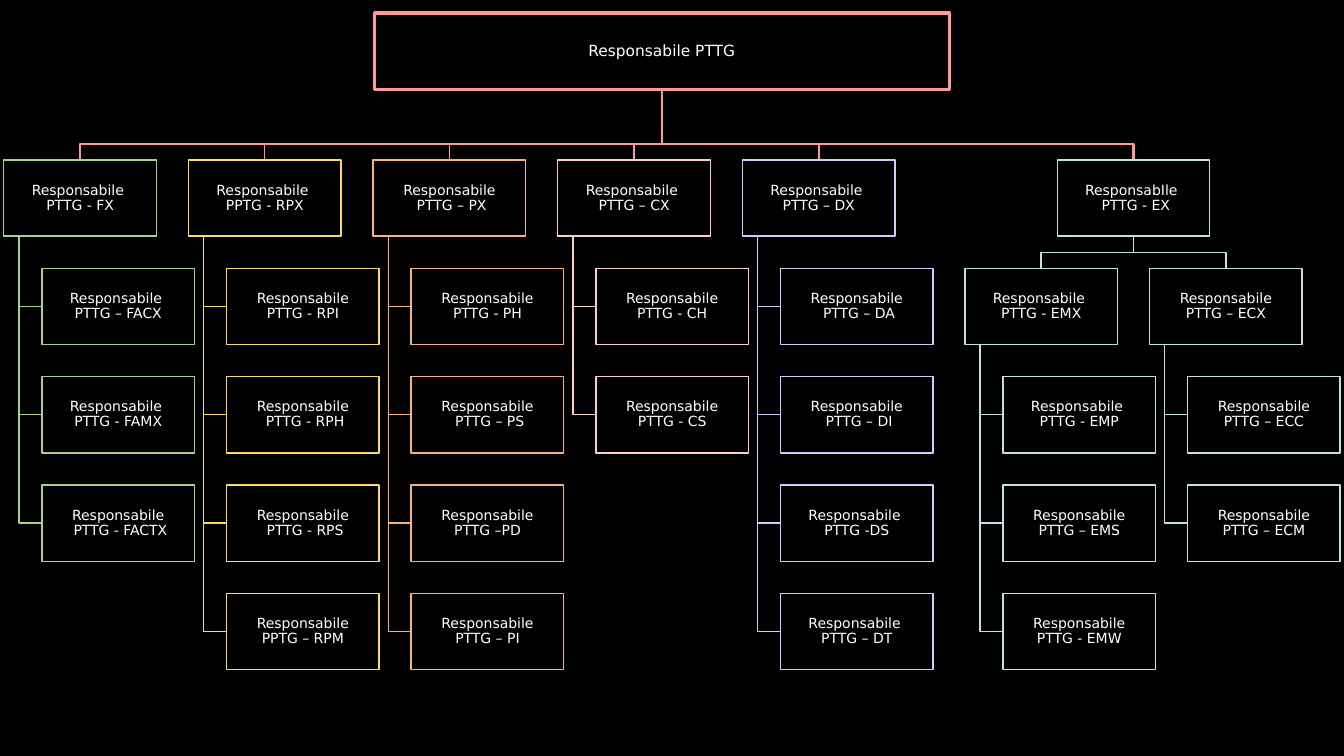
import pptx
import pptx.util
import pptx.dml.color
import pptx.enum.shapes
import pptx.enum.text

Pt = pptx.util.Pt
RGB = pptx.dml.color.RGBColor.from_string


class Theme:
    background, text, root = "000000", "FFFFFF", "FF9999"
    green, yellow, orange = "A9D18E", "FFD966", "F4B183"
    pink, violet, teal = "FFCCCC", "CCCCFF", "C3E1E3"
    font = "DejaVu Sans"
    root_size, box_size = 11, 10
    root_line, bus_line, line = 2.25, 1.5, 1


# Grid, in points
BOX_W, BOX_H = 109, 54.5
ROOT_X, ROOT_Y, ROOT_W = 267.6, 9.3, 410.4
FIRST_X, COLUMN_STEP = 2.7, 131.9
FIRST_Y, ROW_STEP = 114.2, 77.4
INDENT, TRUNK, BUS_GAP = 27.2, 10.9, 11.4
EMX_X = 689.2
ECX_X = EMX_X + COLUMN_STEP
EX_X = (EMX_X + ECX_X) / 2

# Branches: colour, width of the line from the root, head, members
BRANCHES = [
    (Theme.green, Theme.bus_line, "Responsabile \nPTTG - FX",
     ["Responsabile \nPTTG – FACX", "Responsabile \nPTTG - FAMX",
      "Responsabile\n PTTG - FACTX"]),
    (Theme.yellow, Theme.line, "Responsabile \nPPTG - RPX",
     ["Responsabile\nPTTG - RPI", "Responsabile\n PTTG - RPH",
      "Responsabile\n PTTG - RPS", "Responsabile\nPPTG – RPM"]),
    (Theme.orange, Theme.line, "Responsabile\n PTTG – PX",
     ["Responsabile\nPTTG - PH", "Responsabile\n PTTG – PS",
      "Responsabile\nPTTG –PD", "Responsabile\nPTTG – PI"]),
    (Theme.pink, Theme.bus_line, "Responsabile \nPTTG – CX",
     ["Responsabile\nPTTG - CH", "Responsabile\nPTTG - CS"]),
    (Theme.violet, Theme.bus_line, "Responsabile \nPTTG – DX",
     ["Responsabile\n PTTG – DA", "Responsabile\n PTTG – DI",
      "Responsabile \nPTTG -DS", "Responsabile \nPTTG – DT"]),
]
EX_BRANCHES = [
    (EMX_X, "Responsabile \nPTTG - EMX",
     ["Responsabile \nPTTG - EMP", "Responsabile\nPTTG – EMS",
      "Responsabile\nPTTG - EMW"]),
    (ECX_X, "Responsabile\nPTTG – ECX",
     ["Responsabile\nPTTG – ECC", "Responsabile\nPTTG – ECM"]),
]


def row_y(row):
    return FIRST_Y + row * ROW_STEP


class OrgChart:
    def __init__(self, slide, theme):
        self.s, self.theme = slide, theme
        fill = slide.background.fill
        fill.solid()
        fill.fore_color.rgb = RGB(theme.background)

    def outline(self, sp, color, width):
        sp.shadow.inherit = False
        sp.fill.background()
        sp.line.color.rgb = RGB(color)
        sp.line.width = Pt(width)

    def box(self, x, y, text, color, w=BOX_W, size=Theme.box_size, line=Theme.line):
        sp = self.s.shapes.add_shape(pptx.enum.shapes.MSO_SHAPE.RECTANGLE,
                                     Pt(x), Pt(y), Pt(w), Pt(BOX_H))
        self.outline(sp, color, line)
        tf = sp.text_frame
        tf.word_wrap = True
        tf.vertical_anchor = pptx.enum.text.MSO_ANCHOR.MIDDLE
        tf.margin_left = tf.margin_right = tf.margin_top = tf.margin_bottom = Pt(0.7)
        p = tf.paragraphs[0]
        p.text = text
        p.alignment = pptx.enum.text.PP_ALIGN.CENTER
        p.line_spacing = 0.9
        p.font.name = self.theme.font
        p.font.size = Pt(size)
        p.font.color.rgb = RGB(self.theme.text)

    def elbow(self, points, color, width=Theme.line):
        start, *rest = [(Pt(x), Pt(y)) for x, y in points]
        builder = self.s.shapes.build_freeform(*start)
        builder.add_line_segments(rest, close=False)
        self.outline(builder.convert_to_shape(), color, width)

    def drop(self, x1, y1, x2, y2, color, width=Theme.line):
        """Line down from a parent, along the bus and down to a child."""
        bus = y2 - BUS_GAP
        self.elbow([(x1, y1), (x1, bus), (x2, bus), (x2, y2)], color, width)

    def branch(self, x, row, head, members, color):
        """Head box with its members hanging below on one trunk."""
        trunk, bottom = x + TRUNK, row_y(row) + BOX_H
        for i in range(len(members), 0, -1):
            middle = row_y(row + i) + BOX_H / 2
            self.elbow([(trunk, bottom), (trunk, middle), (x + INDENT, middle)], color)
        self.box(x, row_y(row), head, color)
        for i, member in enumerate(members, 1):
            self.box(x + INDENT, row_y(row + i), member, color)


def main():
    prs = pptx.Presentation()
    prs.slide_width, prs.slide_height = Pt(960), Pt(540)
    chart = OrgChart(prs.slides.add_slide(prs.slide_layouts[6]), Theme)

    # Lines from the root to the second level
    heads = [(FIRST_X + i * COLUMN_STEP, b[1]) for i, b in enumerate(BRANCHES)]
    heads.append((EX_X, Theme.bus_line))
    for x, width in reversed(heads):
        chart.drop(ROOT_X + ROOT_W / 2, ROOT_Y + BOX_H,
                   x + BOX_W / 2, FIRST_Y, Theme.root, width)

    # Root
    chart.box(ROOT_X, ROOT_Y, "Responsabile PTTG", Theme.root,
              ROOT_W, Theme.root_size, Theme.root_line)

    # Five columns
    for (x, _), (color, _, head, members) in zip(heads, BRANCHES):
        chart.branch(x, 0, head, members, color)

    # EX with its two sub-branches
    for x, head, members in EX_BRANCHES:
        chart.drop(EX_X + BOX_W / 2, FIRST_Y + BOX_H,
                   x + BOX_W / 2, row_y(1), Theme.teal)
        chart.branch(x, 1, head, members, Theme.teal)
    chart.box(EX_X, FIRST_Y, "ResponsabIle \n PTTG - EX", Theme.teal)

    prs.save("out.pptx")


if __name__ == "__main__":
    main()
